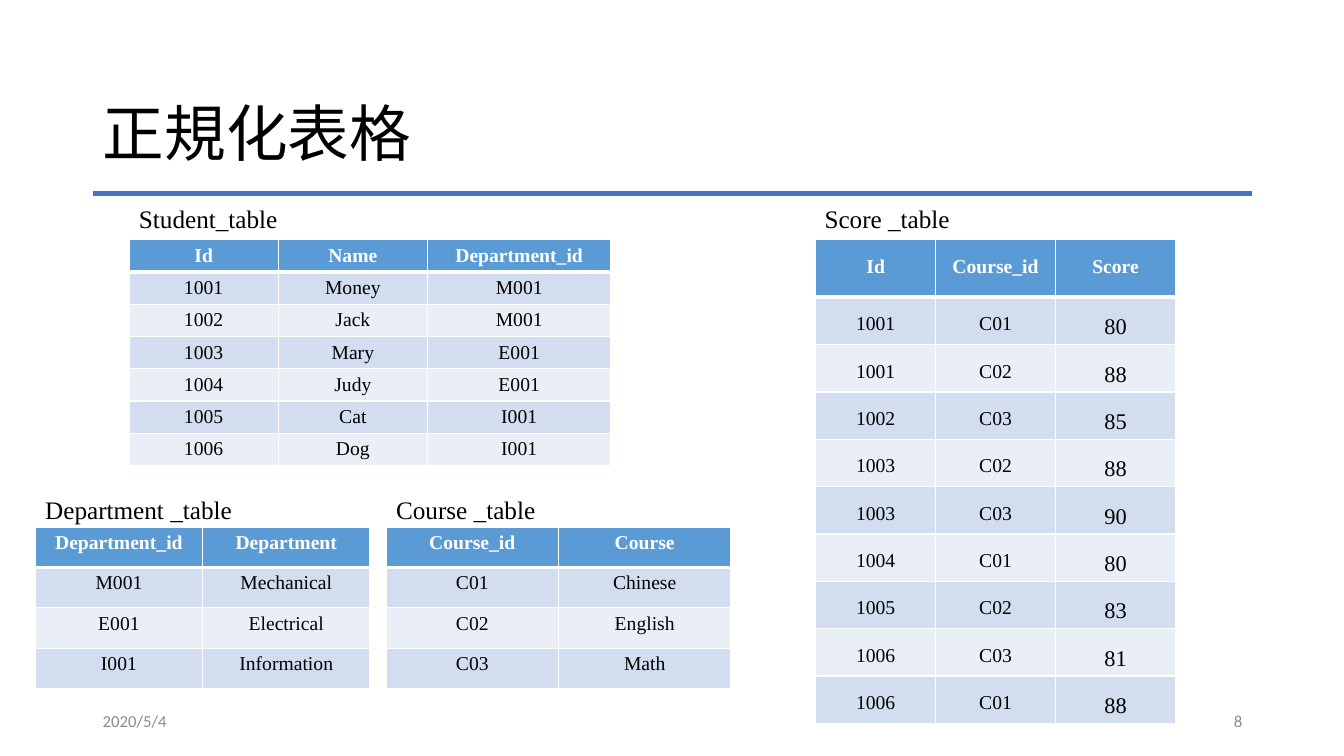
"""Build the slide of normalised student, department, course and score tables."""
from dataclasses import dataclass

from lxml import etree
from pptx import Presentation
from pptx.dml.color import RGBColor
from pptx.enum.shapes import MSO_CONNECTOR
from pptx.enum.text import MSO_ANCHOR, MSO_AUTO_SIZE, PP_ALIGN
from pptx.oxml.ns import qn
from pptx.slide import Slide
from pptx.table import _Cell
from pptx.text.text import _Paragraph
from pptx.util import Pt

PX = 9144
STRAIGHT = MSO_CONNECTOR.STRAIGHT
LEFT, CENTER, RIGHT = PP_ALIGN.LEFT, PP_ALIGN.CENTER, PP_ALIGN.RIGHT
TOP, MIDDLE = MSO_ANCHOR.TOP, MSO_ANCHOR.MIDDLE
FIT_NONE, FIT_SHAPE = MSO_AUTO_SIZE.NONE, MSO_AUTO_SIZE.SHAPE_TO_FIT_TEXT
TITLE_ONLY = 5


@dataclass(frozen=True)
class Theme:
    font: str = "Times New Roman"
    footer_font: str = "Calibri"
    text: str = "000000"
    white: str = "FFFFFF"
    muted: str = "8C8C8C"
    rule: str = "4472C4"
    header: str = "5B9BD5"
    bands: tuple[str, str] = ("D2DEEF", "EAEFF7")
    title_size: int = 44
    label_size: int = 18
    score_size: int = 16
    cell_size: int = 14
    footer_size: int = 12
    rule_width: int = 3
    thin: int = 1
    thick: int = 3


THEME = Theme()


@dataclass(frozen=True)
class TableSpec:
    label: str
    label_box: tuple[int, int, int, int]
    left: int
    top: int
    columns: tuple[int, ...]
    header_height: int
    row_height: int
    rows: tuple[str, ...]
    spacing: float = 1.0
    last_size: int = THEME.cell_size


@dataclass(frozen=True)
class FooterSpec:
    text: str
    left: int
    align: PP_ALIGN


TABLES = (
    TableSpec("Student_table", (128, 197, 159, 40), 128, 238, (148, 148, 182), 32, 32, (
        "Id Name Department_id", "1001 Money M001", "1002 Jack M001", "1003 Mary E001",
        "1004 Judy E001", "1005 Cat I001", "1006 Dog I001")),
    TableSpec("Department _table", (35, 485, 207, 40), 35, 523, (166, 166), 40, 40, (
        "Department_id Department", "M001 Mechanical", "E001 Electrical",
        "I001 Information")),
    TableSpec("Course _table", (383, 485, 160, 40), 383, 523, (171, 171), 40, 40, (
        "Course_id Course", "C01 Chinese", "C02 English", "C03 Math")),
    TableSpec("Score _table", (808, 197, 146, 40), 809, 238, (119, 119, 119), 57, 47, (
        "Id Course_id Score", "1001 C01 80", "1001 C02 88", "1002 C03 85", "1003 C02 88",
        "1003 C03 90", "1004 C01 80", "1005 C02 83", "1006 C03 81", "1006 C01 88"),
        1.5, THEME.score_size),
)
FOOTERS = (FooterSpec("2020/5/4", 92, LEFT), FooterSpec("8", 942, RIGHT))


def format_text(p: _Paragraph, size: int, color: str = THEME.text,
                font: str = THEME.font, bold: bool = False) -> None:
    for r in p.runs:
        r.font.name = font
        r.font.size = Pt(size)
        r.font.bold = bold
        r.font.color.rgb = RGBColor.from_string(color)


def add_title(s: Slide, text: str) -> None:
    sp = s.shapes.title
    sp.left, sp.top, sp.width, sp.height = (v * PX for v in (92, 40, 1150, 145))
    tf = sp.text_frame
    tf.text = text
    tf.auto_size = FIT_NONE
    tf.vertical_anchor = MIDDLE
    p = tf.paragraphs[0]
    p.alignment = LEFT
    p.line_spacing = 1.5
    format_text(p, THEME.title_size)


def add_rule(s: Slide) -> None:
    line = s.shapes.add_connector(STRAIGHT, 92 * PX, 192 * PX, 1242 * PX, 192 * PX)
    line.line.color.rgb = RGBColor.from_string(THEME.rule)
    line.line.width = Pt(THEME.rule_width)
    etree.SubElement(line._element.spPr, qn("a:effectLst"))


def add_label(s: Slide, spec: TableSpec) -> None:
    tf = s.shapes.add_textbox(*(v * PX for v in spec.label_box)).text_frame
    tf.text = spec.label
    tf.word_wrap = False
    tf.auto_size = FIT_SHAPE
    format_text(tf.paragraphs[0], THEME.label_size)


def add_footer(s: Slide, spec: FooterSpec) -> None:
    tf = s.shapes.add_textbox(spec.left * PX, 695 * PX, 300 * PX, 40 * PX).text_frame
    tf.text = spec.text
    tf.word_wrap = True
    tf.vertical_anchor = MIDDLE
    p = tf.paragraphs[0]
    p.alignment = spec.align
    format_text(p, THEME.footer_size, THEME.muted, THEME.footer_font)


def set_borders(cell: _Cell, top: int, bottom: int) -> None:
    tc_pr = cell._tc.get_or_add_tcPr()
    widths = {"a:lnL": THEME.thin, "a:lnR": THEME.thin, "a:lnT": top, "a:lnB": bottom}
    for tag, width in widths.items():
        ln = etree.SubElement(tc_pr, qn(tag), w=str(Pt(width)))
        fill = etree.SubElement(ln, qn("a:solidFill"))
        etree.SubElement(fill, qn("a:srgbClr"), val=THEME.white)


def format_cell(cell: _Cell, text: str, row: int, size: int, spacing: float) -> None:
    is_header = row == 0
    set_borders(cell, THEME.thick if row == 1 else THEME.thin,
                THEME.thick if is_header else THEME.thin)
    cell.fill.solid()
    color = THEME.header if is_header else THEME.bands[(row - 1) % 2]
    cell.fill.fore_color.rgb = RGBColor.from_string(color)
    cell.vertical_anchor = TOP
    cell.margin_top, cell.margin_bottom = 5 * PX, PX
    cell.text_frame.text = text
    p = cell.text_frame.paragraphs[0]
    p.alignment = CENTER
    p.line_spacing = spacing
    format_text(p, size, THEME.white if is_header else THEME.text, bold=is_header)


def add_data_table(s: Slide, spec: TableSpec) -> None:
    height = spec.header_height + spec.row_height * (len(spec.rows) - 1)
    table = s.shapes.add_table(len(spec.rows), len(spec.columns), spec.left * PX,
                               spec.top * PX, sum(spec.columns) * PX, height * PX).table
    for column, width in zip(table.columns, spec.columns):
        column.width = width * PX
    last = len(spec.columns) - 1
    for i, row in enumerate(spec.rows):
        table.rows[i].height = (spec.row_height if i else spec.header_height) * PX
        for j, text in enumerate(row.split()):
            size = spec.last_size if i and j == last else THEME.cell_size
            format_cell(table.cell(i, j), text, i, size, spec.spacing)


def main() -> None:
    prs = Presentation()
    prs.slide_width, prs.slide_height = 1333 * PX, 750 * PX
    s = prs.slides.add_slide(prs.slide_layouts[TITLE_ONLY])
    add_rule(s)
    add_title(s, "正規化表格")
    for spec in TABLES:
        add_data_table(s, spec)
        add_label(s, spec)
    for footer in FOOTERS:
        add_footer(s, footer)
    prs.save("out.pptx")


if __name__ == "__main__":
    main()
